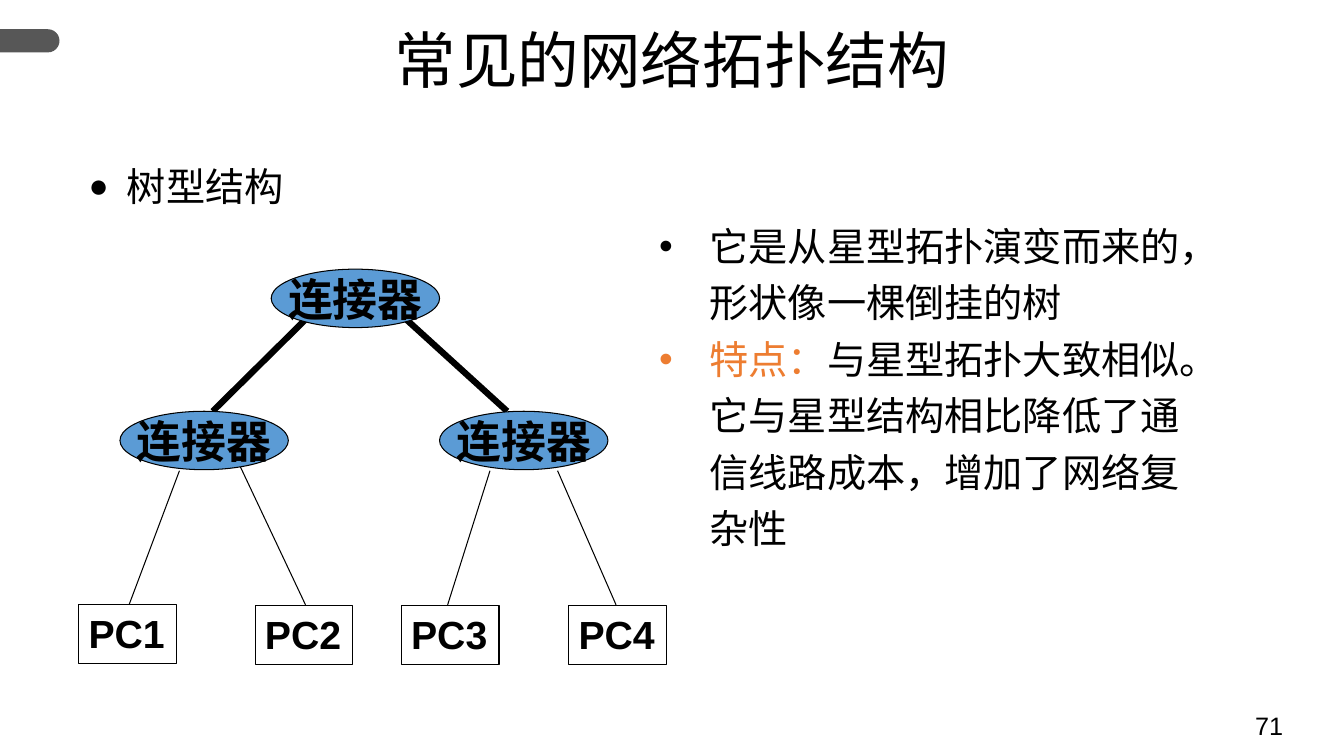
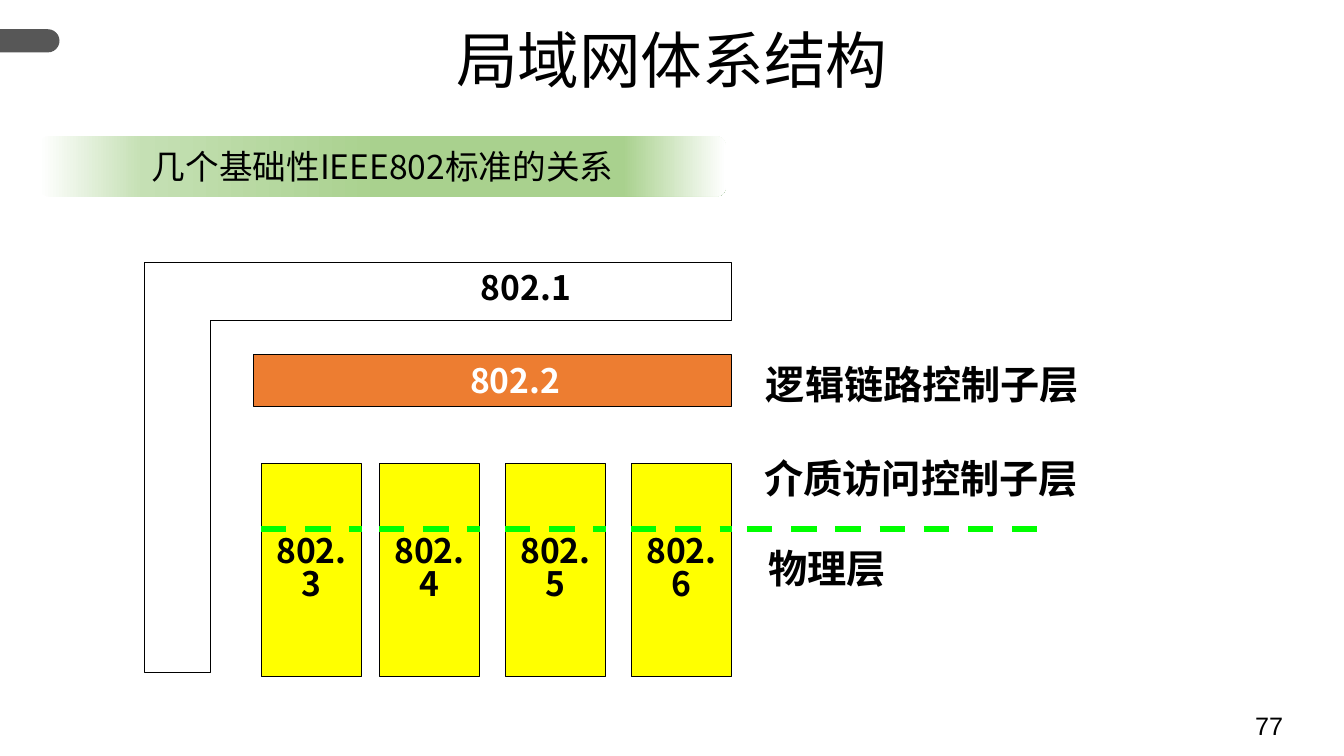
from lxml.etree import SubElement
from pptx import Presentation
from pptx.dml.color import RGBColor
from pptx.enum.dml import MSO_LINE_DASH_STYLE as Dash
from pptx.enum.shapes import MSO_CONNECTOR as Connector
from pptx.enum.shapes import MSO_SHAPE as Shape
from pptx.enum.text import MSO_ANCHOR as Anchor
from pptx.enum.text import PP_ALIGN as Align
from pptx.oxml.ns import qn
from pptx.util import Inches, Pt

BLACK = RGBColor(0x00, 0x00, 0x00)
WHITE = RGBColor(0xFF, 0xFF, 0xFF)
GRAY = RGBColor(0x57, 0x57, 0x57)
BLUE = RGBColor(0x5B, 0x9B, 0xD5)
ORANGE = RGBColor(0xED, 0x7D, 0x31)
YELLOW = RGBColor(0xFF, 0xFF, 0x00)
LIME = RGBColor(0x00, 0xFF, 0x00)
PALE_GREEN = RGBColor(0xC5, 0xE0, 0xB4)
GREEN = RGBColor(0xA9, 0xD1, 0x8E)

ARIAL = "Arial"
NOTO = "Noto Sans CJK SC"
BANNER_STOPS = [(0, WHITE), (15, PALE_GREEN), (50, GREEN), (85, GREEN), (100, WHITE)]


def apply_format(target, values):
    for name, value in values.items():
        setattr(target, name, value)


def add_span(para, text, size, font=NOTO, color=BLACK, bold=False):
    span = para.add_run()
    span.text = text
    apply_format(span.font, {"name": font, "size": Pt(size), "bold": bold})
    span.font.color.rgb = color
    SubElement(span.font._element, qn("a:ea"), typeface=NOTO)


def add_bullet(para, char, color, left, hanging, percent=100):
    props = para._p.get_or_add_pPr()
    props.set("marL", str(Inches(left)))
    props.set("indent", str(-Inches(hanging)))
    fill = SubElement(props, qn("a:buClr"))
    SubElement(fill, qn("a:srgbClr"), val=str(color))
    SubElement(props, qn("a:buSzPct"), val=str(percent * 1000))
    SubElement(props, qn("a:buFont"), typeface=ARIAL)
    SubElement(props, qn("a:buChar"), char=char)


def set_text(box, text, size, anchor=Anchor.MIDDLE, align=Align.CENTER,
             wrap=True, spacing=1.0, inset=0.1, **style):
    frame = box.text_frame
    apply_format(frame, {"word_wrap": wrap, "vertical_anchor": anchor,
                         "margin_left": Inches(inset)})
    para = frame.paragraphs[0]
    apply_format(para, {"alignment": align, "line_spacing": spacing})
    add_span(para, text, size, **style)


def add_label(page, area, text, size, **style):
    box = page.shapes.add_textbox(*map(Inches, area))
    set_text(box, text, size, **style)


def add_bullets(page, area, items, spacing, **bullet):
    frame = page.shapes.add_textbox(*map(Inches, area)).text_frame
    frame.word_wrap = True
    for index, spans in enumerate(items):
        para = frame.add_paragraph() if index else frame.paragraphs[0]
        add_bullet(para, color=spans[0][1], **bullet)
        para.line_spacing = spacing
        for text, color in spans:
            add_span(para, text, 28, color=color)


def add_block(page, kind, area, fill=None, outlined=True):
    block = page.shapes.add_shape(kind, *map(Inches, area))
    block.shadow.inherit = False
    if fill is not None:
        block.fill.solid()
        block.fill.fore_color.rgb = fill
    style_outline(block.line, outlined)
    return block


def style_outline(line, visible=True):
    if visible:
        line.color.rgb = BLACK
        line.width = Pt(0.75)
    else:
        line.fill.background()


def add_line(page, start, end, color=BLACK, width=0.75, dash=None):
    link = page.shapes.add_connector(Connector.STRAIGHT, *map(Inches, start + end))
    link.line.color.rgb = color
    apply_format(link.line, {"width": Pt(width), "dash_style": dash})
    SubElement(link._element.spPr, qn("a:effectLst"))


def add_banner(page, area, text):
    banner = add_block(page, Shape.ROUNDED_RECTANGLE, area, outlined=False)
    banner.fill.gradient()
    banner.fill.gradient_angle = 0
    stops = banner._element.spPr.find(qn("a:gradFill")).find(qn("a:gsLst"))
    for stop in list(stops):
        stops.remove(stop)
    for percent, color in BANNER_STOPS:
        stop = SubElement(stops, qn("a:gs"), pos=str(percent * 1000))
        SubElement(stop, qn("a:srgbClr"), val=str(color))
    set_text(banner, text, 24)


def add_outline(page, points):
    corners = [(Inches(x), Inches(y)) for x, y in points]
    builder = page.shapes.build_freeform(*corners[0])
    builder.add_line_segments(corners[1:], close=True)
    outline = builder.convert_to_shape()
    outline.shadow.inherit = False
    outline.fill.background()
    style_outline(outline.line)


def add_page(deck, title, number):
    page = deck.slides.add_slide(deck.slide_layouts[6])
    tab = add_block(page, Shape.ROUND_2_SAME_RECTANGLE, (0.18, 0.11, 0.23, 0.59),
                    GRAY, outlined=False)
    tab.adjustments[0] = 0.5
    tab.rotation = 90
    add_label(page, (0, 0.25, 13.33, 1.25), title, 44,
              anchor=Anchor.TOP, spacing=0.9, font=ARIAL)
    add_label(page, (12.35, 7, 0.98, 0.5), number, 18,
              anchor=Anchor.TOP, align=Align.LEFT, font=ARIAL)
    return page


def build_tree_page(deck):
    page = add_page(deck, "常见的网络拓扑结构", "71")
    add_bullets(page, (0.78, 1.42, 12.02, 5.76), [[("树型结构", BLACK)]], 1.3,
                char="●", left=0.38, hanging=0.38, percent=85)
    add_bullets(page, (5.44, 2.06, 6.67, 3.49), [
        [("它是从星型拓扑演变而来的，形状像一棵倒挂的树", BLACK)],
        [("特点：", ORANGE),
         ("与星型拓扑大致相似。它与星型结构相比降低了通信线路成本，增加了网络复杂性", BLACK)],
    ], 1.2, char="•", left=1.5, hanging=0.5)

    computers = [("PC1", 0.78, 6), ("PC2", 2.53, 6.01),
                 ("PC3", 3.98, 6.01), ("PC4", 5.64, 6.01)]
    for name, left, top in computers:
        computer = add_block(page, Shape.RECTANGLE, (left, top, 0.97, 0.58), WHITE)
        set_text(computer, name, 28, anchor=Anchor.TOP, align=Align.LEFT,
                 wrap=False, font=ARIAL, bold=True)

    branches = [((1.78, 4.67), (1.28, 6)), ((2.36, 4.58), (3.03, 6)),
                ((4.86, 4.67), (4.44, 6)), ((5.53, 4.67), (6.11, 6))]
    for start, end in branches:
        add_line(page, start, end)
    for start, end in [((3.03, 3.17), (2.11, 4.08)), ((4.03, 3.17), (5.03, 4.08))]:
        add_line(page, start, end, width=4.5)

    for left, top in [(2.69, 2.67), (1.19, 4.08), (4.36, 4.08)]:
        hub = add_block(page, Shape.OVAL, (left, top, 1.67, 0.58), BLUE)
        set_text(hub, "连接器", 32, wrap=False, font=ARIAL, bold=True)


def build_standards_page(deck):
    page = add_page(deck, "局域网体系结构", "77")
    add_banner(page, (0.39, 1.35, 6.81, 0.6), "几个基础性IEEE802标准的关系")
    add_outline(page, [(1.43, 2.6), (7.26, 2.6), (7.26, 3.18),
                       (2.09, 3.18), (2.09, 6.67), (1.43, 6.67)])
    link_layer = add_block(page, Shape.RECTANGLE, (2.51, 3.52, 4.75, 0.51), ORANGE)
    set_text(link_layer, "802.2", 24, inset=0.55, color=WHITE, bold=True)
    add_label(page, (3.34, 2.6, 3.75, 0.5), "802.1", 24, bold=True)

    dashes = {"color": LIME, "width": 4.5, "dash": Dash.DASH}
    for number, left in enumerate((2.59, 3.76, 5.01, 6.26), start=3):
        standard = add_block(page, Shape.RECTANGLE, (left, 4.6, 1, 2.11), YELLOW)
        set_text(standard, f"802.{number}", 24, spacing=0.82, bold=True)
        add_line(page, (left, 5.25), (left + 1, 5.25), **dashes)
    add_line(page, (7.41, 5.25), (10.4, 5.25), **dashes)

    layers = [("逻辑链路控制子层", 7.43, 3.52, 3.44),
              ("介质访问控制子层", 7.27, 4.46, 3.73),
              ("物理层", 7.49, 5.35, 1.42)]
    for name, left, top, width in layers:
        add_label(page, (left, top, width, 0.57), name, 28, bold=True)


def main():
    deck = Presentation()
    apply_format(deck, {"slide_width": Inches(13.33), "slide_height": Inches(7.5)})
    build_tree_page(deck)
    build_standards_page(deck)
    deck.save("out.pptx")


if __name__ == "__main__":
    main()
